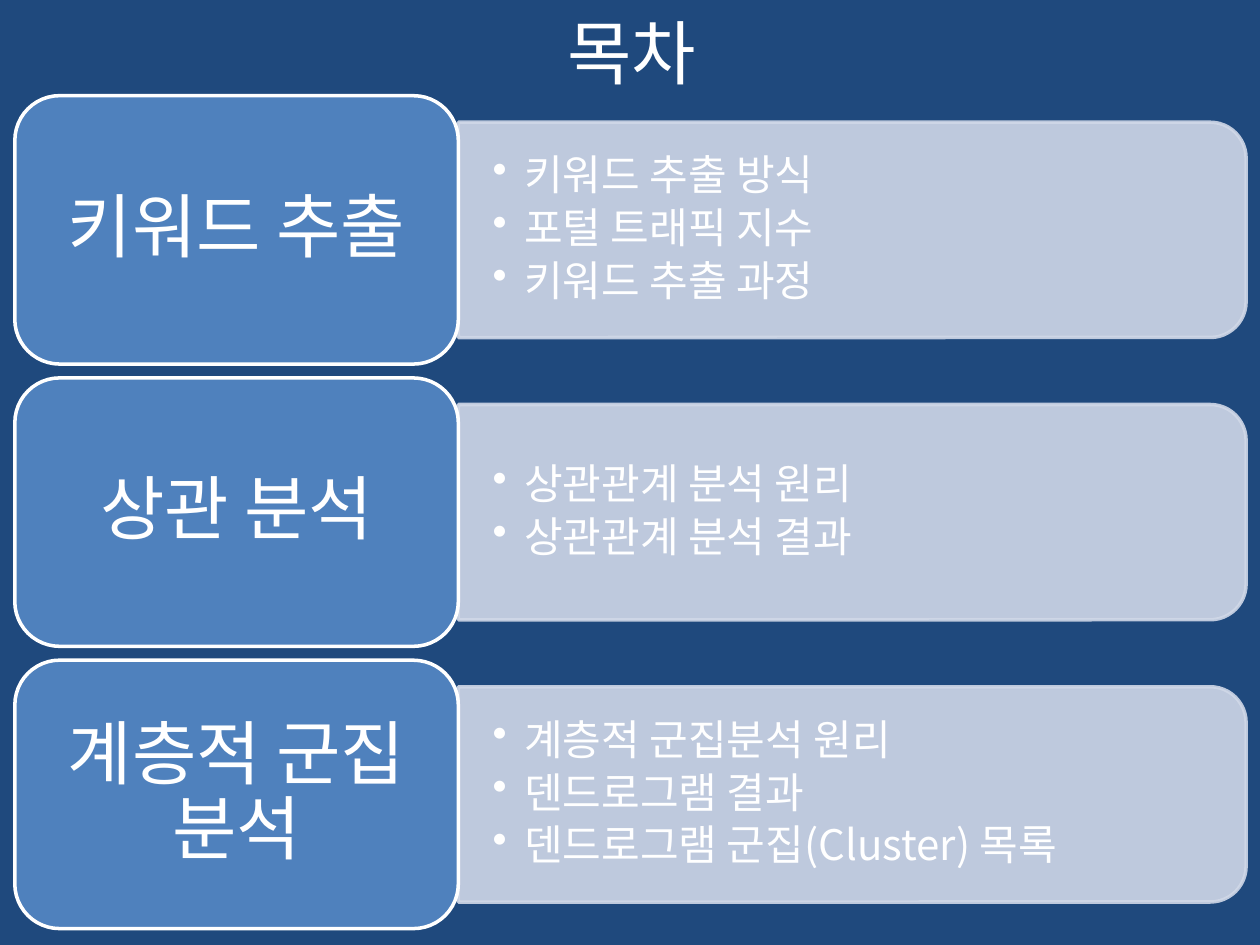
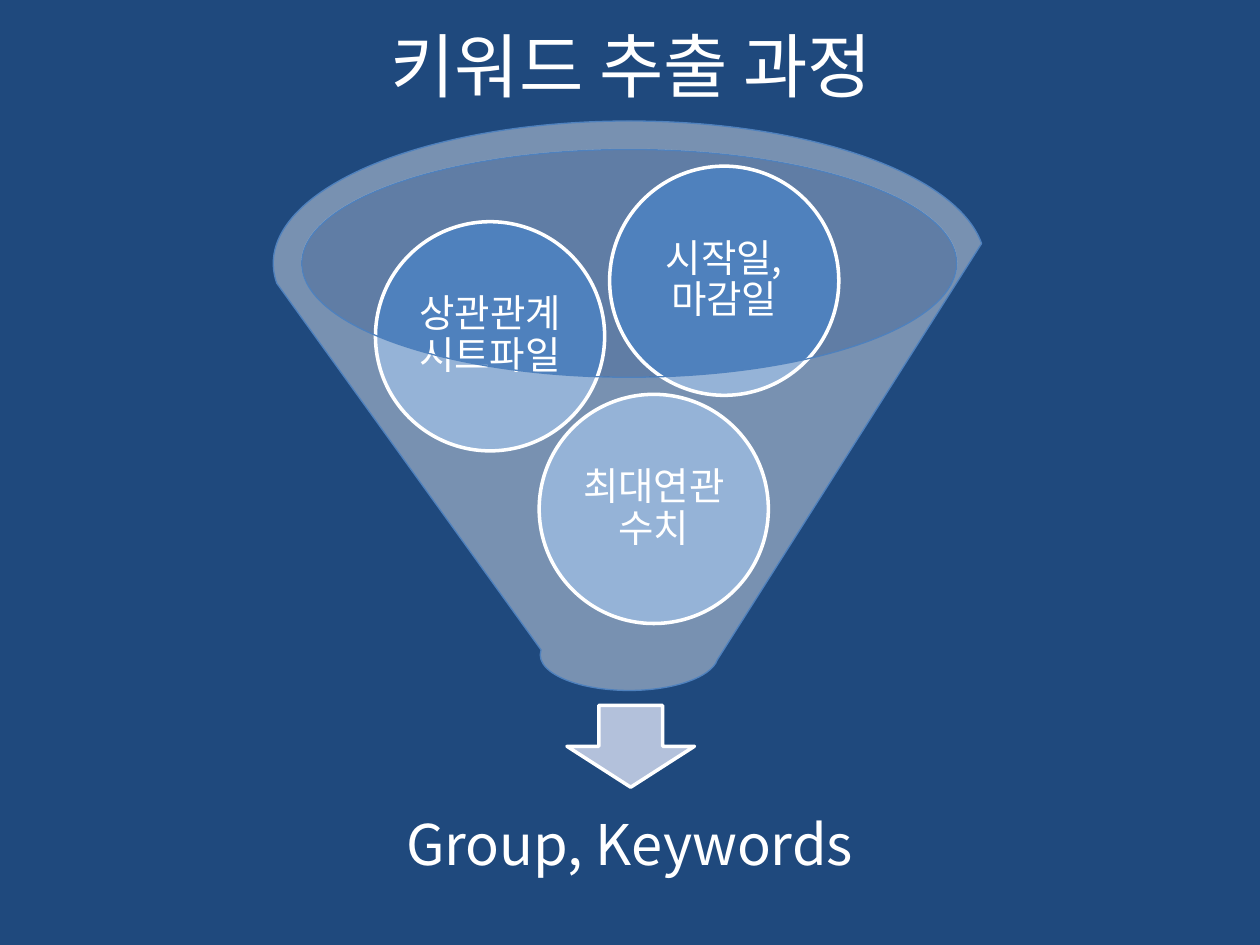
from dataclasses import dataclass

from lxml.etree import SubElement
from pptx import Presentation
from pptx.dml.color import RGBColor as RGB
from pptx.enum.shapes import MSO_SHAPE as SHAPE
from pptx.enum.text import MSO_ANCHOR as ANCHOR, PP_ALIGN as ALIGN
from pptx.oxml.ns import qn
from pptx.util import Cm, Pt

AGENDA_TITLE = "목차"
AGENDA = [
    ("키워드 추출", ["키워드 추출 방식", "포털 트래픽 지수", "키워드 추출 과정"]),
    ("상관 분석", ["상관관계 분석 원리", "상관관계 분석 결과"]),
    ("계층적 군집 분석", ["계층적 군집분석 원리", "덴드로그램 결과",
                    "덴드로그램 군집(Cluster) 목록"]),
]

FUNNEL_TITLE = "키워드 추출 과정"
FUNNEL_INPUTS = [
    ("최대연관수치", 10.87, 7.95),
    ("상관관계 시트파일", 7.57, 4.47),
    ("시작일, 마감일", 12.29, 3.35),
]
FUNNEL_OUTPUT = "Group, Keywords"


@dataclass(frozen=True)
class Theme:
    font: str = "Noto Sans CJK KR"
    background: str = "1F497D"
    text: str = "FFFFFF"
    accent: str = "4F81BD"
    band: str = "D0D8E8"
    mouth: str = "C2CDE1"
    arrow: str = "B3C1DB"
    heading_size: int = 40
    output_size: int = 32
    item_size: int = 24
    input_size: int = 22
    title_spacing: float = 1.0
    body_spacing: float = 0.9


T = Theme()


def set_alpha(parent, percent):
    color = parent.find(qn("a:solidFill")).find(qn("a:srgbClr"))
    SubElement(color, qn("a:alpha"), val=str(percent * 1000))


def add_shape(s, kind, box, fill, line=None, width=2, alpha=100, line_alpha=100):
    sp = s.shapes.add_shape(kind, *map(Cm, box))
    sp.shadow.inherit = False
    sp.fill.solid()
    sp.fill.fore_color.rgb = RGB.from_string(fill)
    if line:
        sp.line.color.rgb = RGB.from_string(line)
        sp.line.width = Pt(width)
    else:
        sp.line.fill.background()
    pr = sp.element.spPr
    if alpha < 100:
        set_alpha(pr, alpha)
    if line_alpha < 100:
        set_alpha(pr.find(qn("a:ln")), line_alpha)
    return sp


def write(sp, lines, size, margins, spacing=T.body_spacing, after=0.35,
          align=ALIGN.CENTER):
    tf = sp.text_frame
    tf.word_wrap = True
    tf.vertical_anchor = ANCHOR.MIDDLE
    tf.margin_left = tf.margin_right = Cm(margins[0])
    tf.margin_top = tf.margin_bottom = Cm(margins[1])
    tf.text = "\n".join(lines)
    for p in tf.paragraphs:
        p.alignment = align
        p.line_spacing = spacing
        p.space_after = Pt(round(size * 1.2 * after, 1))
        for r in p.runs:
            r.font.size = Pt(size)
            r.font.name = T.font
            r.font.color.rgb = RGB.from_string(T.text)
            SubElement(r.font._element, qn("a:ea"), typeface=T.font)
    return tf


def add_text(s, box, *args, **kwargs):
    return write(s.shapes.add_textbox(*map(Cm, box)), *args, **kwargs)


def add_bullets(tf):
    for p in tf.paragraphs:
        pr = p._p.get_or_add_pPr()
        pr.set("marL", str(Cm(0.64)))
        pr.set("indent", str(-Cm(0.64)))
        SubElement(pr, qn("a:buChar"), char="•")


def add_slide(prs, title, title_top):
    s = prs.slides.add_slide(prs.slide_layouts[6])
    s.background.fill.solid()
    s.background.fill.fore_color.rgb = RGB.from_string(T.background)
    add_text(s, (1.3, title_top, 22.86, 1.96), [title], T.heading_size,
             (0.25, 0.13), spacing=T.title_spacing, after=0)
    return s


def agenda_slide(prs):
    s = add_slide(prs, AGENDA_TITLE, 0.05)
    left, first_top, width, height, pitch = 0.3, 1.93, 8.94, 5.41, 5.69
    band_left, band_width, band_height = left + width, 15.88, 4.34
    text_width, text_height = 15.67, 3.91
    for i, (heading, items) in enumerate(AGENDA):
        top = first_top + i * pitch
        middle = top + height / 2
        band_box = (band_left + (band_width - band_height) / 2,
                    middle - band_width / 2, band_height, band_width)
        band = add_shape(s, SHAPE.ROUND_2_SAME_RECTANGLE, band_box, T.band,
                         T.band, alpha=90, line_alpha=90)
        band.rotation = 90
        text_box = (band_left, middle - text_height / 2, text_width, text_height)
        add_bullets(add_text(s, text_box, items, T.item_size, (0.69, 0.34),
                             after=0.15, align=ALIGN.LEFT))
        card = add_shape(s, SHAPE.ROUNDED_RECTANGLE, (left, top, width, height),
                         T.accent, T.text)
        write(card, [heading], T.heading_size, (0.42, 0.21))


def funnel_slide(prs):
    s = add_slide(prs, FUNNEL_TITLE, 0.33)
    add_shape(s, SHAPE.OVAL, (6.07, 3, 13.23, 4.6), T.mouth, alpha=40)
    add_shape(s, SHAPE.DOWN_ARROW, (11.43, 14.22, 2.57, 1.65), T.arrow, T.text)
    add_text(s, (6.55, 15.54, 12.29, 3.07), [FUNNEL_OUTPUT], T.output_size,
             (0.64, 0.64))
    diameter = 4.62
    for label, left, top in FUNNEL_INPUTS:
        ball = add_shape(s, SHAPE.OVAL, (left, top, diameter, diameter),
                         T.accent, T.text)
        write(ball, [label], T.input_size, (0.07, 0.07))
    add_shape(s, SHAPE.FUNNEL, (5.51, 2.44, 14.35, 11.48), T.text, T.accent,
              width=0.75, alpha=40)


def main():
    prs = Presentation()
    prs.slide_width, prs.slide_height = Cm(25.4), Cm(19.05)
    agenda_slide(prs)
    funnel_slide(prs)
    prs.save("out.pptx")


if __name__ == "__main__":
    main()
